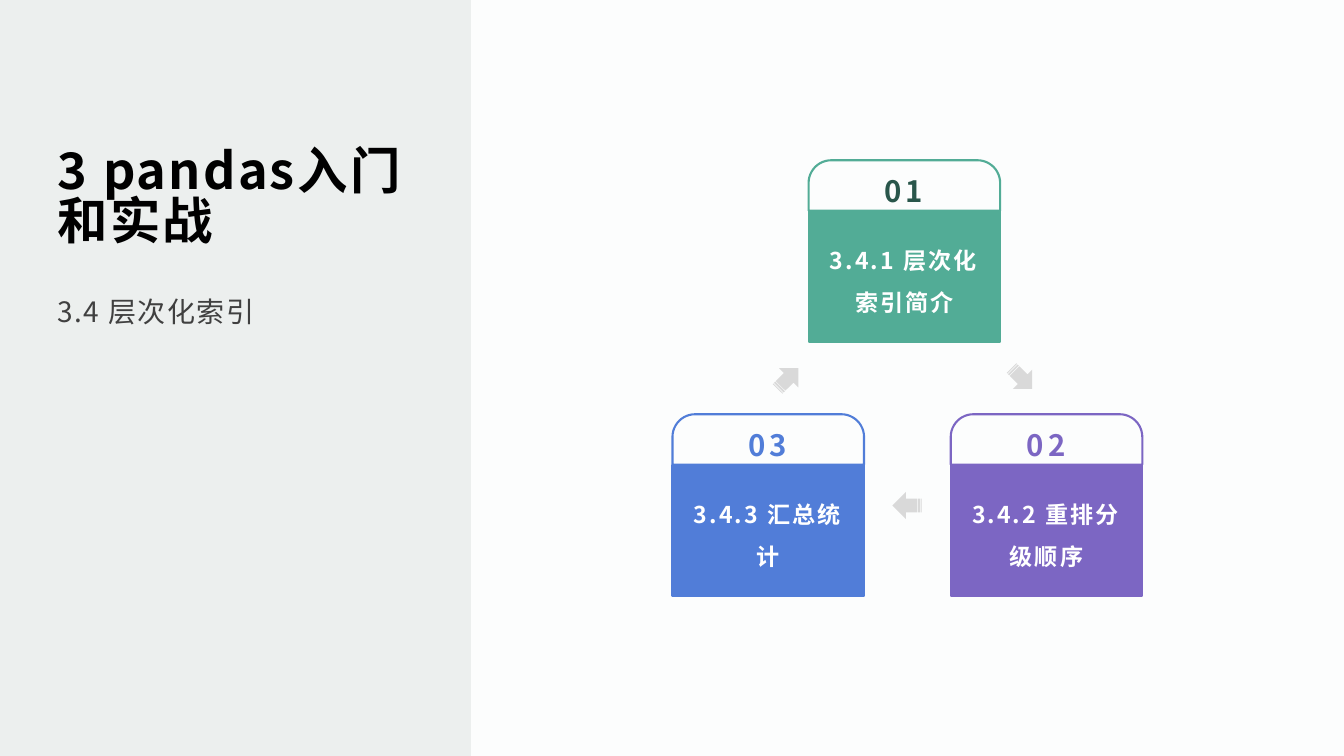
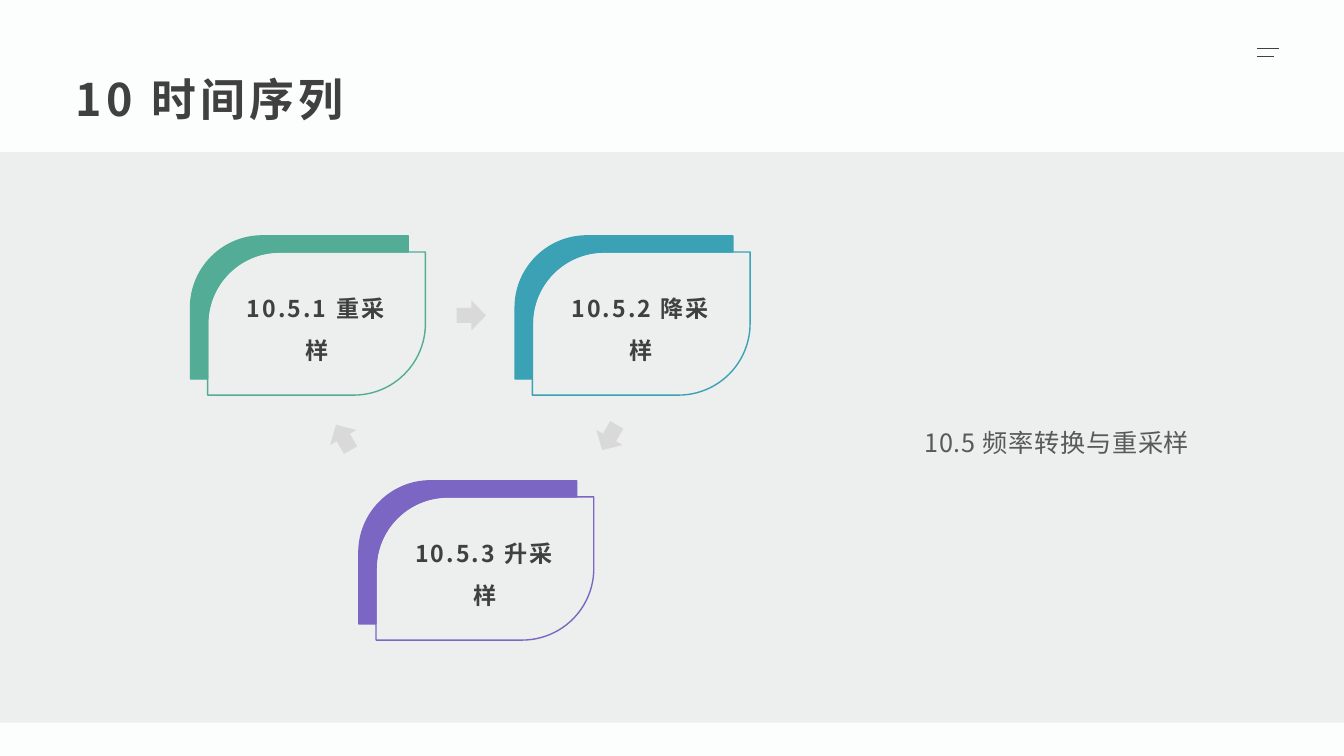
from dataclasses import dataclass

from lxml import etree
from pptx import Presentation
from pptx.dml.color import RGBColor
from pptx.enum.shapes import MSO_CONNECTOR, MSO_SHAPE
from pptx.enum.text import MSO_ANCHOR, MSO_AUTO_SIZE, PP_ALIGN
from pptx.oxml.ns import qn
from pptx.util import Inches, Pt

RECTANGLE = MSO_SHAPE.RECTANGLE
TAB = MSO_SHAPE.ROUND_2_SAME_RECTANGLE
LEAF = MSO_SHAPE.ROUND_2_DIAG_RECTANGLE
ARROW = MSO_SHAPE.RIGHT_ARROW
STRIPED_ARROW = MSO_SHAPE.STRIPED_RIGHT_ARROW
STRAIGHT = MSO_CONNECTOR.STRAIGHT
TOP, MIDDLE, BOTTOM = MSO_ANCHOR.TOP, MSO_ANCHOR.MIDDLE, MSO_ANCHOR.BOTTOM
LEFT, CENTER, JUSTIFY = PP_ALIGN.LEFT, PP_ALIGN.CENTER, PP_ALIGN.JUSTIFY
NO_AUTOFIT = MSO_AUTO_SIZE.NONE

PAPER = RGBColor(0xFC, 0xFD, 0xFD)
PANEL = RGBColor(0xEC, 0xEF, 0xEE)
BLACK = RGBColor(0x00, 0x00, 0x00)
WHITE = RGBColor(0xFF, 0xFF, 0xFF)
DARK = RGBColor(0x40, 0x40, 0x40)
GRAY = RGBColor(0x59, 0x59, 0x59)
ARROW_GRAY = RGBColor(0xD9, 0xD9, 0xD9)
GREEN = RGBColor(0x52, 0xAC, 0x96)
DEEP_GREEN = RGBColor(0x29, 0x56, 0x4B)
BLUE = RGBColor(0x51, 0x7D, 0xD8)
TEAL = RGBColor(0x3B, 0xA1, 0xB4)
PURPLE = RGBColor(0x7C, 0x66, 0xC3)

FONT = "Noto Sans CJK SC"
SLIDE_WIDTH, SLIDE_HEIGHT = 13.33, 7.5
TITLE_ONLY = 5
CARD_WIDTH, TAB_HEIGHT, BODY_HEIGHT = 1.9, 0.5, 1.3
LEAF_WIDTH, LEAF_HEIGHT, LEAF_RADIUS = 2.16, 1.42, 0.71
RIM_WIDTH, RIM_HEIGHT = 0.17, 0.16
CURVE_PULL = 0.55


@dataclass(frozen=True)
class TextStyle:
    size: float
    color: RGBColor
    bold: bool = False
    tracking: float = 0
    align: PP_ALIGN = LEFT
    anchor: MSO_ANCHOR = TOP
    line_spacing: float = 1.0
    space_after: float = 0
    insets: tuple[float, float, float, float] = (0.08, 0.04, 0.08, 0.04)


@dataclass(frozen=True)
class Card:
    left: float
    top: float
    color: RGBColor
    label: str
    number: str = ""
    number_color: RGBColor | None = None


@dataclass(frozen=True)
class CycleArrow:
    left: float
    top: float
    rotation: float


SECTION_TITLE = TextStyle(36, BLACK, True, 1.6, anchor=BOTTOM, line_spacing=0.82,
                          insets=(0.07, 0.03, 0.07, 0.03))
SECTION_TOPIC = TextStyle(20, DARK, tracking=1, line_spacing=1.2, space_after=8,
                          insets=(0.07, 0.03, 0.07, 0.03))
PAGE_TITLE = TextStyle(32, DARK, True, 3)
PAGE_TOPIC = TextStyle(18, GRAY, tracking=0.5, align=JUSTIFY, anchor=MIDDLE,
                       line_spacing=1.3, space_after=8)
CARD_LABEL = TextStyle(16.5, WHITE, True, 1.5, CENTER, line_spacing=1.5,
                       insets=(0.2, 0.22, 0.2, 0.05))
LEAF_LABEL = TextStyle(16.5, DARK, True, 1.5, CENTER, line_spacing=1.5,
                       insets=(0.1, 0.08, 0.1, 0.05))

CARDS = [
    Card(8.02, 1.59, GREEN, "3.4.1 层次化索引简介", "01", DEEP_GREEN),
    Card(9.43, 4.11, PURPLE, "3.4.2 重排分级顺序", "02", PURPLE),
    Card(6.67, 4.11, BLUE, "3.4.3 汇总统计", "03", BLUE),
]
CARD_ARROWS = [
    CycleArrow(9.99, 3.62, 45),
    CycleArrow(8.85, 4.88, 180),
    CycleArrow(7.67, 3.62, 315),
]
LEAVES = [
    Card(1.89, 2.34, GREEN, "10.5.1 重采样"),
    Card(5.11, 2.34, TEAL, "10.5.2 降采样"),
    Card(3.56, 4.77, PURPLE, "10.5.3 升采样"),
]
LEAF_ARROWS = [
    CycleArrow(4.53, 2.98, 0),
    CycleArrow(5.9, 4.19, 120),
    CycleArrow(3.26, 4.19, 240),
]


def write_text(shape, text: str, style: TextStyle) -> None:
    frame = shape.text_frame
    left, top, right, bottom = map(Inches, style.insets)
    frame_format = {
        "word_wrap": True, "auto_size": NO_AUTOFIT, "vertical_anchor": style.anchor,
        "margin_left": left, "margin_top": top,
        "margin_right": right, "margin_bottom": bottom,
    }
    para = frame.paragraphs[0]
    para_format = {
        "alignment": style.align, "line_spacing": style.line_spacing,
        "space_before": Pt(0), "space_after": Pt(style.space_after),
    }
    span = para.add_run()
    span.text = text
    span_format = {"name": FONT, "size": Pt(style.size), "bold": style.bold}
    for target, values in ((frame, frame_format), (para, para_format),
                           (span.font, span_format)):
        for name, value in values.items():
            setattr(target, name, value)
    span.font.color.rgb = style.color
    properties = span._r.get_or_add_rPr()
    properties.set("spc", str(round(style.tracking * 100)))
    east_asian = etree.Element(qn("a:ea"), typeface=FONT)
    properties.find(qn("a:latin")).addnext(east_asian)


def paint(shape, fill: RGBColor | None, line: RGBColor | None, width: float = 1) -> None:
    shape.shadow.inherit = False
    if fill is None:
        shape.fill.background()
    else:
        shape.fill.solid()
        shape.fill.fore_color.rgb = fill
    if line is None:
        shape.line.fill.background()
    else:
        shape.line.color.rgb = line
        shape.line.width = Pt(width)


def add_box(page, kind: MSO_SHAPE, left: float, top: float, width: float, height: float,
            fill: RGBColor | None = None, line: RGBColor | None = None,
            line_width: float = 1):
    box = page.shapes.add_shape(kind, Inches(left), Inches(top), Inches(width), Inches(height))
    paint(box, fill, line, line_width)
    return box


def add_text(page, left: float, top: float, width: float, height: float,
             text: str, style: TextStyle) -> None:
    box = page.shapes.add_textbox(Inches(left), Inches(top), Inches(width), Inches(height))
    write_text(box, text, style)


def add_page(deck):
    page = deck.slides.add_slide(deck.slide_layouts[TITLE_ONLY])
    page.background.fill.solid()
    page.background.fill.fore_color.rgb = PAPER
    return page


def add_panel(page, top: float, width: float, height: float) -> None:
    panel = add_box(page, RECTANGLE, 0, top, width, height, PANEL)
    page.shapes.title._element.addprevious(panel._element)


def place_title(page, left: float, top: float, width: float, height: float,
                text: str, style: TextStyle) -> None:
    title = page.shapes.title
    position = {"left": left, "top": top, "width": width, "height": height}
    for name, value in position.items():
        setattr(title, name, Inches(value))
    write_text(title, text, style)


def add_arrows(page, kind: MSO_SHAPE, height: float, arrows: list[CycleArrow]) -> None:
    for arrow in arrows:
        box = add_box(page, kind, arrow.left, arrow.top, 0.29, height, ARROW_GRAY)
        box.rotation = arrow.rotation


def add_card(page, card: Card) -> None:
    tab = add_box(page, TAB, card.left, card.top, CARD_WIDTH, TAB_HEIGHT,
                  line=card.color, line_width=1.5)
    tab.adjustments[0] = 0.45
    body = add_box(page, RECTANGLE, card.left, card.top + TAB_HEIGHT,
                   CARD_WIDTH, BODY_HEIGHT, card.color, card.color, 1.5)
    write_text(body, card.label, CARD_LABEL)
    number_style = TextStyle(21, card.number_color, True, 3, CENTER, MIDDLE, 1.3,
                             insets=(0, 0, 0, 0))
    add_text(page, card.left + 0.54, card.top, 0.81, TAB_HEIGHT, card.number, number_style)


def round_corner(segment) -> None:
    start, end = [(int(point.get("x")), int(point.get("y")))
                  for point in (segment.getprevious()[-1], segment[0])]
    corner = (min(start[0], end[0]), min(start[1], end[1]))
    controls = [tuple(round(a + CURVE_PULL * (b - a)) for a, b in zip(point, corner))
                for point in (start, end)]
    curve = etree.Element(qn("a:cubicBezTo"))
    for x, y in (*controls, end):
        etree.SubElement(curve, qn("a:pt"), x=str(x), y=str(y))
    segment.getparent().replace(segment, curve)


def add_rim(page, card: Card) -> None:
    left, top = card.left, card.top
    right, bottom = left + LEAF_WIDTH, top + LEAF_HEIGHT
    inner_left, inner_top = left + RIM_WIDTH, top + RIM_HEIGHT
    outline = [
        (left + LEAF_RADIUS, top), (right, top), (right, inner_top),
        (inner_left + LEAF_RADIUS, inner_top), (inner_left, inner_top + LEAF_RADIUS),
        (inner_left, bottom), (left, bottom),
        (left, top + LEAF_RADIUS), (left + LEAF_RADIUS, top),
    ]
    start, *rest = [(Inches(x), Inches(y)) for x, y in outline]
    builder = page.shapes.build_freeform(*start)
    builder.add_line_segments(rest, close=True)
    rim = builder.convert_to_shape()
    paint(rim, card.color, card.color)
    segments = list(rim._element.iter(qn("a:lnTo")))
    for index in (3, 7):
        round_corner(segments[index])


def add_leaf(page, card: Card) -> None:
    add_rim(page, card)
    leaf = add_box(page, LEAF, card.left + RIM_WIDTH, card.top + RIM_HEIGHT,
                   LEAF_WIDTH, LEAF_HEIGHT, line=card.color)
    leaf.adjustments[0] = 0.5
    leaf.adjustments[1] = 0
    write_text(leaf, card.label, LEAF_LABEL)


def add_menu_mark(page) -> None:
    group = page.shapes.add_group_shape()
    for top, right in ((0.48, 12.69), (0.56, 12.64)):
        stroke = group.shapes.add_connector(STRAIGHT, Inches(12.47), Inches(top),
                                            Inches(right), Inches(top))
        stroke.line.color.rgb = DARK
        stroke.line.width = Pt(1)
        etree.SubElement(stroke._element.spPr, qn("a:effectLst"))


def build_index_page(deck) -> None:
    page = add_page(deck)
    add_panel(page, 0, 4.67, SLIDE_HEIGHT)
    place_title(page, 0.5, 1.27, 3.67, 1.23, "3 pandas入门和实战", SECTION_TITLE)
    add_text(page, 0.5, 2.83, 3.67, 2.67, "3.4 层次化索引", SECTION_TOPIC)
    for card in CARDS:
        add_card(page, card)
    add_arrows(page, STRIPED_ARROW, 0.27, CARD_ARROWS)


def build_resampling_page(deck) -> None:
    page = add_page(deck)
    add_panel(page, 1.51, SLIDE_WIDTH, 5.66)
    place_title(page, 0.67, 0.67, 12, 0.69, "10 时间序列", PAGE_TITLE)
    add_text(page, 9.09, 3.93, 3.58, 0.83, "10.5 频率转换与重采样", PAGE_TOPIC)
    add_menu_mark(page)
    for card in LEAVES:
        add_leaf(page, card)
    add_arrows(page, ARROW, 0.3, LEAF_ARROWS)


def main() -> None:
    deck = Presentation()
    deck.slide_width = Inches(SLIDE_WIDTH)
    deck.slide_height = Inches(SLIDE_HEIGHT)
    build_index_page(deck)
    build_resampling_page(deck)
    deck.save("out.pptx")


if __name__ == "__main__":
    main()
